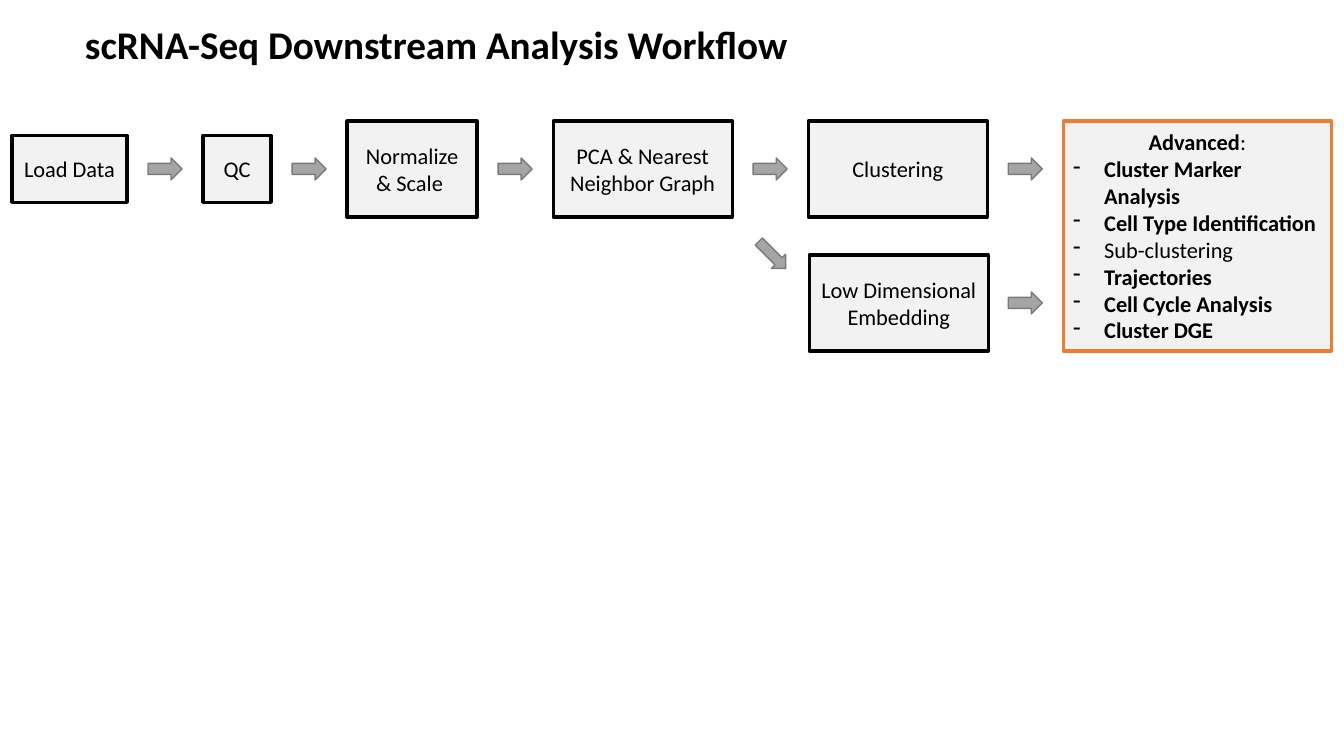
"""Build the scRNA-Seq downstream analysis workflow slide."""
from lxml import etree
from pptx import Presentation
from pptx.dml.color import RGBColor
from pptx.enum.shapes import MSO_SHAPE
from pptx.enum.text import MSO_ANCHOR, PP_ALIGN
from pptx.oxml.ns import qn
from pptx.util import Emu, Inches, Pt

TITLE = "scRNA-Seq Downstream Analysis Workflow"
STEPS = [
    ("Load Data", 115, 67),
    ("QC", 68, 67),
    ("Normalize & Scale ", 130, 96),
    ("PCA & Nearest Neighbor Graph", 179, 96),
    ("Clustering", 179, 96),
]
EMBEDDING = "Low Dimensional Embedding"
ADVANCED = [
    ("Cluster Marker Analysis", True),
    ("Cell Type Identification", True),
    ("Sub-clustering", False),
    ("Trajectories", True),
    ("Cell Cycle Analysis", True),
    ("Cluster DGE", True),
]

RECT, ARROW = MSO_SHAPE.RECTANGLE, MSO_SHAPE.RIGHT_ARROW
CENTER, LEFT = PP_ALIGN.CENTER, PP_ALIGN.LEFT
MIDDLE = MSO_ANCHOR.MIDDLE

BLACK = RGBColor(0x00, 0x00, 0x00)
PALE = RGBColor(0xF2, 0xF2, 0xF2)
ORANGE = RGBColor(0xED, 0x7D, 0x31)
GRAY = RGBColor(0xA5, 0xA5, 0xA5)
DARK_GRAY = RGBColor(0x7A, 0x7A, 0x7A)

FONT = "Calibri"
SCALE = 914400 / 100.8
START_X, ROW_Y, ROW_2_Y = 12, 169, 303
GAP, ARROW_W, ARROW_H = 21, 34, 22
STEP_GAP = GAP + ARROW_W + GAP
BOX_H = 96
ADVANCED_W = 268
INDENT = 31


def px(n):
    return Emu(round(n * SCALE))


def add_run(p, text, bold=False, size=16):
    r = p.add_run()
    r.text = text
    r.font.name = FONT
    r.font.size = Pt(size)
    r.font.bold = bold
    r.font.color.rgb = BLACK


def add_shape(slide, kind, x, mid_y, w, h, fill, line, weight):
    s = slide.shapes.add_shape(kind, px(x), px(mid_y - h / 2), px(w), px(h))
    s.shadow.inherit = False
    s.fill.solid()
    s.fill.fore_color.rgb = fill
    s.line.color.rgb = line
    s.line.width = Pt(weight)
    return s


def add_box(slide, x, mid_y, w, h, line=BLACK):
    s = add_shape(slide, RECT, x, mid_y, w, h, PALE, line, 2.25)
    tf = s.text_frame
    tf.word_wrap = True
    tf.vertical_anchor = MIDDLE
    tf.paragraphs[0].alignment = CENTER
    return tf


def add_arrow(slide, x, mid_y, w=ARROW_W, h=ARROW_H):
    return add_shape(slide, ARROW, x, mid_y, w, h, GRAY, DARK_GRAY, 1)


def add_dash(p):
    pPr = p._p.get_or_add_pPr()
    pPr.set("marL", str(px(INDENT)))
    pPr.set("indent", str(-px(INDENT)))
    etree.SubElement(pPr, qn("a:buChar")).set("char", "-")


def add_title(slide):
    tf = slide.shapes.add_textbox(px(75), px(15), px(732), px(58)).text_frame
    tf.word_wrap = False
    add_run(tf.paragraphs[0], TITLE, True, 28)


def add_workflow(slide):
    x = START_X
    for text, w, h in STEPS:
        add_run(add_box(slide, x, ROW_Y, w, h).paragraphs[0], text)
        add_arrow(slide, x + w + GAP, ROW_Y)
        last_x, x = x, x + w + STEP_GAP

    add_run(add_box(slide, last_x + 1, ROW_2_Y, w, BOX_H).paragraphs[0], EMBEDDING)
    add_arrow(slide, last_x + w + GAP, ROW_2_Y)
    add_arrow(slide, last_x - STEP_GAP + GAP, 255, 38, 20).rotation = 45

    tf = add_box(slide, x, (ROW_Y + ROW_2_Y) / 2, ADVANCED_W,
                 ROW_2_Y - ROW_Y + BOX_H, ORANGE)
    add_run(tf.paragraphs[0], "Advanced", True)
    add_run(tf.paragraphs[0], ":")
    for text, bold in ADVANCED:
        p = tf.add_paragraph()
        p.alignment = LEFT
        add_dash(p)
        add_run(p, text, bold)


def main():
    prs = Presentation()
    prs.slide_width, prs.slide_height = Inches(13.33), Inches(7.5)
    slide = prs.slides.add_slide(prs.slide_layouts[6])
    add_title(slide)
    add_workflow(slide)
    prs.save("out.pptx")


if __name__ == "__main__":
    main()
